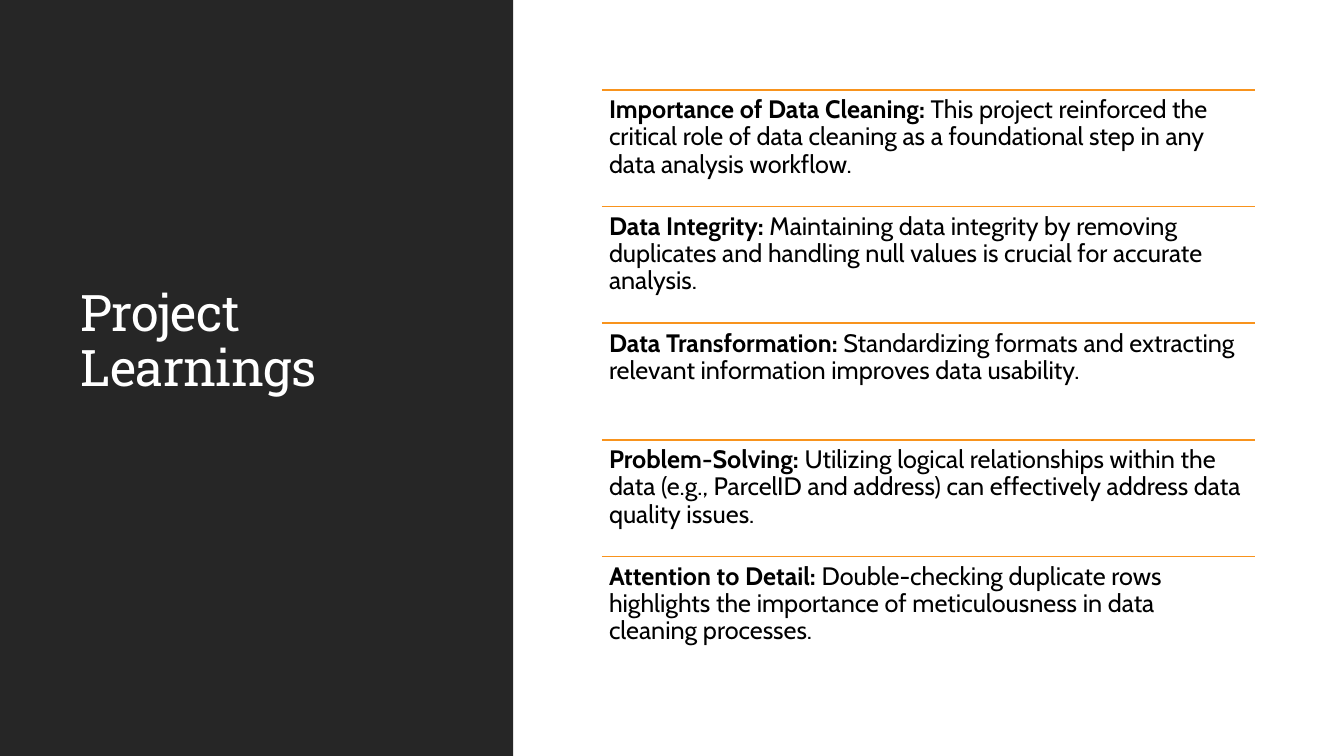
from pptx import Presentation
from pptx.dml.color import RGBColor
from pptx.enum.shapes import MSO_CONNECTOR, MSO_SHAPE
from pptx.enum.text import MSO_ANCHOR, MSO_AUTO_SIZE, PP_ALIGN
from pptx.oxml.ns import qn
from pptx.util import Inches, Pt
from lxml.etree import SubElement

TITLE_FONT = {"name": "Roboto Slab", "size": Pt(36), "bold": False}
BODY_FONT = {"name": "Cabin", "size": Pt(18)}
TITLE_FRAME = {"word_wrap": True, "auto_size": MSO_AUTO_SIZE.NONE,
               "vertical_anchor": MSO_ANCHOR.BOTTOM}
BODY_FRAME = {"word_wrap": True, "vertical_anchor": MSO_ANCHOR.TOP,
              "margin_left": Inches(0.07), "margin_right": Inches(0.07),
              "margin_top": Inches(0.07), "margin_bottom": Inches(0.07)}
PARAGRAPH = {"alignment": PP_ALIGN.LEFT, "line_spacing": 0.9}

LEARNINGS = [
    ("Importance of Data Cleaning: ",
     "This project reinforced the critical role of data cleaning as a "
     "foundational step in any data analysis workflow."),
    ("Data Integrity: ",
     "Maintaining data integrity by removing duplicates and handling null "
     "values is crucial for accurate analysis."),
    ("Data Transformation: ",
     "Standardizing formats and extracting relevant information improves "
     "data usability."),
    ("Problem-Solving: ",
     "Utilizing logical relationships within the data (e.g., ParcelID and "
     "address) can effectively address data quality issues."),
    ("Attention to Detail: ",
     "Double-checking duplicate rows highlights the importance of "
     "meticulousness in data cleaning processes."),
]


def color(value):
    """Turn a hex string into a colour."""
    return RGBColor.from_string(value)


def apply(target, values):
    """Set each named value as an attribute of the target."""
    for name, value in values.items():
        setattr(target, name, value)


def add_span(para, text, font, fill):
    """Append formatted text to a paragraph."""
    span = para.add_run()
    span.text = text
    apply(span.font, font)
    span.font.color.rgb = color(fill)
    return span


def add_title_panel(page, left, top, width, height):
    """Place the dark panel and the slide title on it."""
    panel = page.shapes.add_shape(
        MSO_SHAPE.RECTANGLE, Inches(left), Inches(top), Inches(width), Inches(height))
    panel.shadow.inherit = False
    panel.fill.solid()
    panel.fill.fore_color.rgb = color("262626")
    panel.line.fill.background()

    title = page.shapes.title
    title.element.addprevious(panel.element)
    apply(title, {"left": Inches(left + 0.7), "top": Inches(top + 2.61),
                  "width": Inches(width - 1.24), "height": Inches(1.38)})
    apply(title.text_frame, TITLE_FRAME)
    para = title.text_frame.paragraphs[0]
    apply(para, PARAGRAPH)
    span = add_span(para, "Project Learnings", TITLE_FONT, "FFFFFF")
    span.font.element.set("spc", "-50") if hasattr(span.font, "element") else \
        para.runs[0].font._element.set("spc", "-50") if hasattr(span.font, "_element") else \
        para._p.find(qn("a:r")).find(qn("a:rPr")).set("spc", "-50")


def add_learning(page, left, top, width, height, heading, detail):
    """Place one learning below its rule."""
    rule = page.shapes.add_connector(
        MSO_CONNECTOR.STRAIGHT, Inches(left), Inches(top), Inches(left + width), Inches(top))
    rule.line.color.rgb = color("F8931D")
    rule.line.width = Pt(1.25)
    SubElement(rule.element.spPr, qn("a:effectLst"))

    box = page.shapes.add_textbox(Inches(left), Inches(top), Inches(width), Inches(height))
    apply(box.text_frame, BODY_FRAME)
    para = box.text_frame.paragraphs[0]
    apply(para, PARAGRAPH)
    add_span(para, heading, BODY_FONT | {"bold": True}, "000000")
    add_span(para, detail, BODY_FONT | {"bold": False}, "000000")


def add_learnings(page, left, top, width, height):
    """Stack the learnings in equal rows."""
    row_height = height / len(LEARNINGS)
    for index, (heading, detail) in enumerate(LEARNINGS):
        add_learning(page, left, top + index * row_height, width, row_height,
                     heading, detail)


def main():
    """Build and save the deck."""
    deck = Presentation()
    apply(deck, {"slide_width": Inches(13.33), "slide_height": Inches(7.5)})
    page = deck.slides.add_slide(deck.slide_layouts[5])
    add_title_panel(page, 0, 0, 5.09, 7.5)
    add_learnings(page, 5.97, 0.89, 6.48, 5.79)
    deck.save("out.pptx")


if __name__ == "__main__":
    main()
